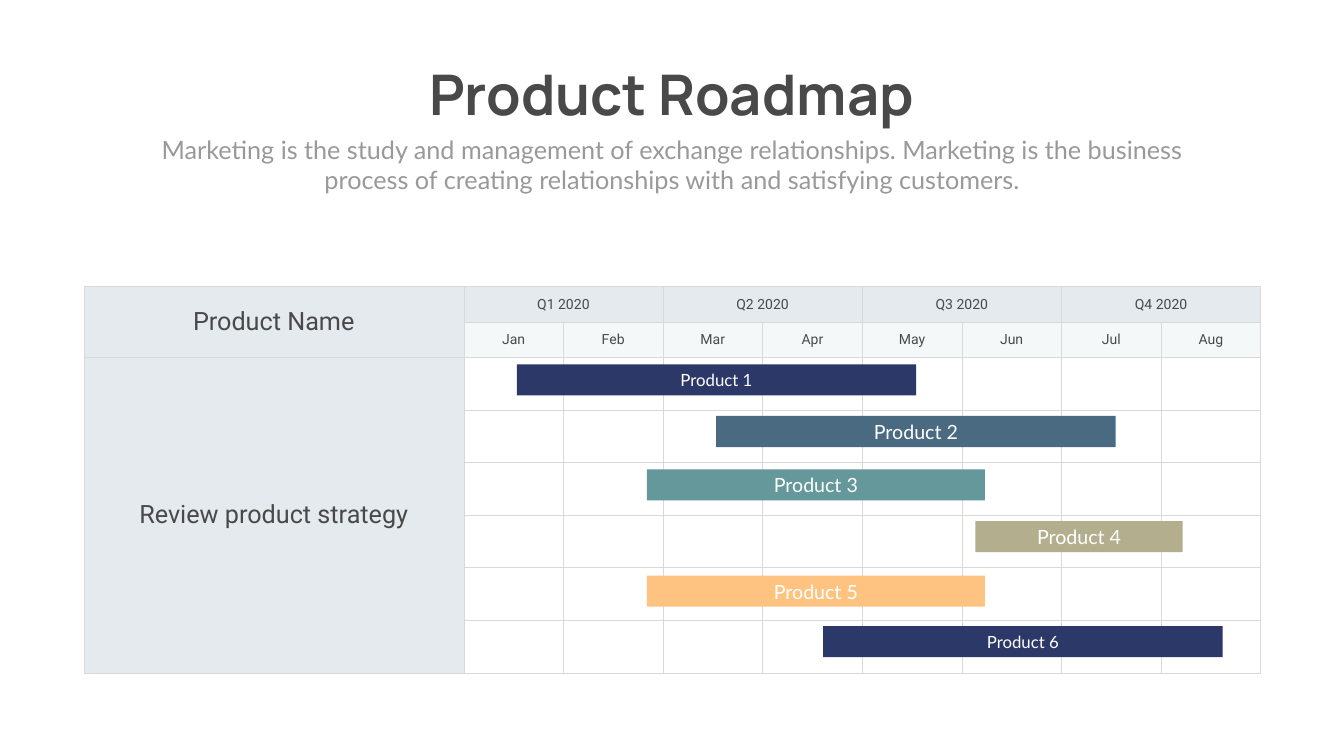
"""Build a product roadmap slide with a month grid and one bar per product."""
from lxml import etree
from pptx import Presentation
from pptx.dml.color import RGBColor as RGB
from pptx.enum.shapes import MSO_SHAPE as SHAPE
from pptx.enum.text import MSO_ANCHOR as ANCHOR, MSO_AUTO_SIZE as AUTO, PP_ALIGN as ALIGN
from pptx.oxml import parse_xml
from pptx.util import Cm, Pt

NS = "http://schemas.openxmlformats.org/drawingml/2006/main"
DARK, PANEL, PALE, WHITE, GRID = "494949", "E5EAEF", "F5F8F9", "FFFFFF", "D9D9D9"


def write(tf, text, size, font, color, bold=False):
    tf.text = text
    p = tf.paragraphs[0]
    p.alignment = ALIGN.CENTER
    r = p.runs[0]
    for name, value in {"size": Pt(size), "name": font, "bold": bold}.items():
        setattr(r.font, name, value)
    r.font.color.rgb = RGB.from_string(color)


def style_cell(cell, color):
    tcPr = cell._tc.get_or_add_tcPr()
    for side in ("lnL", "lnR", "lnT", "lnB"):
        tcPr.append(parse_xml(
            f'<a:{side} xmlns:a="{NS}" w="9525"><a:solidFill>'
            f'<a:srgbClr val="{GRID}"/></a:solidFill></a:{side}>'))
    cell.fill.solid()
    cell.fill.fore_color.rgb = RGB.from_string(color)
    for name, value in {"margin_left": 0, "margin_right": 0,
                        "vertical_anchor": ANCHOR.MIDDLE}.items():
        setattr(cell, name, value)


prs = Presentation()
prs.slide_width, prs.slide_height = Cm(67.72), Cm(38.1)
s = prs.slides.add_slide(prs.slide_layouts[5])

title = s.shapes.title
for name, value in {"left": 20.29, "top": 2.84, "width": 27.1, "height": 3.68}.items():
    setattr(title, name, Cm(value))
for name, value in {"auto_size": AUTO.NONE, "word_wrap": False,
                    "vertical_anchor": ANCHOR.MIDDLE}.items():
    setattr(title.text_frame, name, value)
write(title.text_frame, "Product Roadmap", 80, "Manrope", DARK, True)

intro = s.shapes.add_textbox(Cm(7.42), Cm(6.63), Cm(52.88), Cm(3.33))
intro.text_frame.word_wrap = True
write(intro.text_frame,
      "Marketing is the study and management of exchange relationships. Marketing is the "
      "business process of creating relationships with and satisfying customers.",
      36, "Lato", "999999")

months = ["Jan", "Feb", "Mar", "Apr", "May", "Jun", "Jul", "Aug"]
widths = [19.15] + [5.02] * len(months)
heights = [1.78] * 2 + [2.65] * 6
tbl = s.shapes.add_table(len(heights), len(widths), Cm(4.22), Cm(14.45),
                         Cm(sum(widths)), Cm(sum(heights))).table
for col, width in zip(tbl.columns, widths):
    col.width = Cm(width)
for row, height in zip(tbl.rows, heights):
    row.height = Cm(height)

for i, row in enumerate(tbl.rows):
    for j, cell in enumerate(row.cells):
        style_cell(cell, PANEL if i == 0 or j == 0 else PALE if i == 1 else WHITE)

tbl.cell(0, 0).merge(tbl.cell(1, 0))
tbl.cell(2, 0).merge(tbl.cell(len(heights) - 1, 0))
write(tbl.cell(0, 0).text_frame, "Product Name", 36, "Roboto", DARK)
write(tbl.cell(2, 0).text_frame, "Review product strategy", 36, "Roboto", DARK)
for q in range(4):
    cell = tbl.cell(0, 2 * q + 1)
    cell.merge(tbl.cell(0, 2 * q + 2))
    write(cell.text_frame, f"Q{q + 1} 2020", 20, "Roboto", DARK)
for j, month in enumerate(months, 1):
    write(tbl.cell(1, j).text_frame, month, 20, "Roboto", DARK)

bars = [
    (26.04, 18.36, 20.12, "2C3867", 24),
    (36.09, 20.96, 20.12, "496A80", 28),
    (32.59, 23.65, 17.04, "65989B", 28),
    (49.15, 26.26, 10.44, "B3AF8E", 28),
    (32.59, 29.01, 17.04, "FFC381", 28),
    (41.48, 31.55, 20.12, "2C3867", 24),
]
for n, (left, top, width, color, size) in enumerate(bars, 1):
    sp = s.shapes.add_shape(SHAPE.RECTANGLE, Cm(left), Cm(top), Cm(width), Cm(1.57))
    sp.shadow.inherit = False
    sp.fill.solid()
    sp.fill.fore_color.rgb = RGB.from_string(color)
    sp.line.fill.background()
    sp.text_frame.vertical_anchor = ANCHOR.MIDDLE
    write(sp.text_frame, f"Product {n}", size, "Lato", WHITE)

prs.save("out.pptx")
